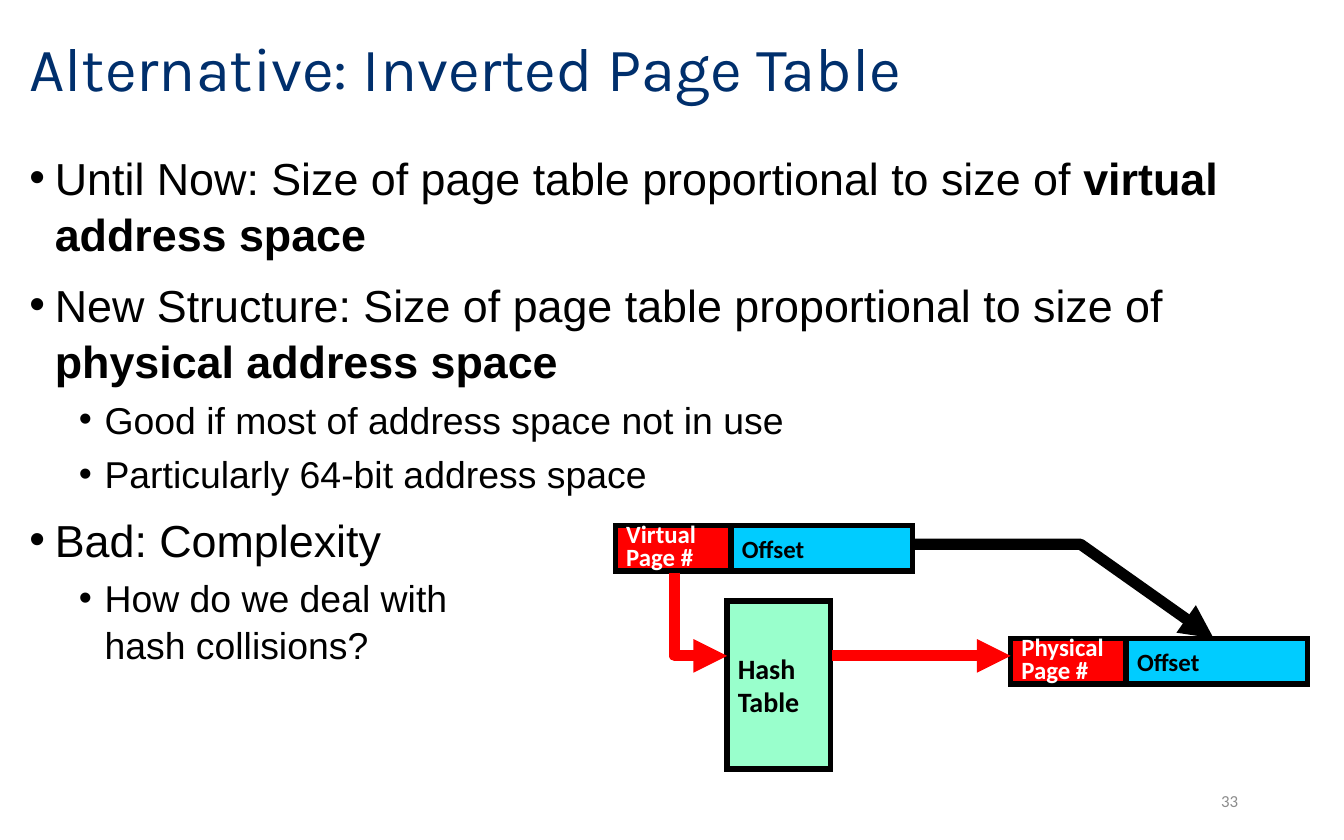
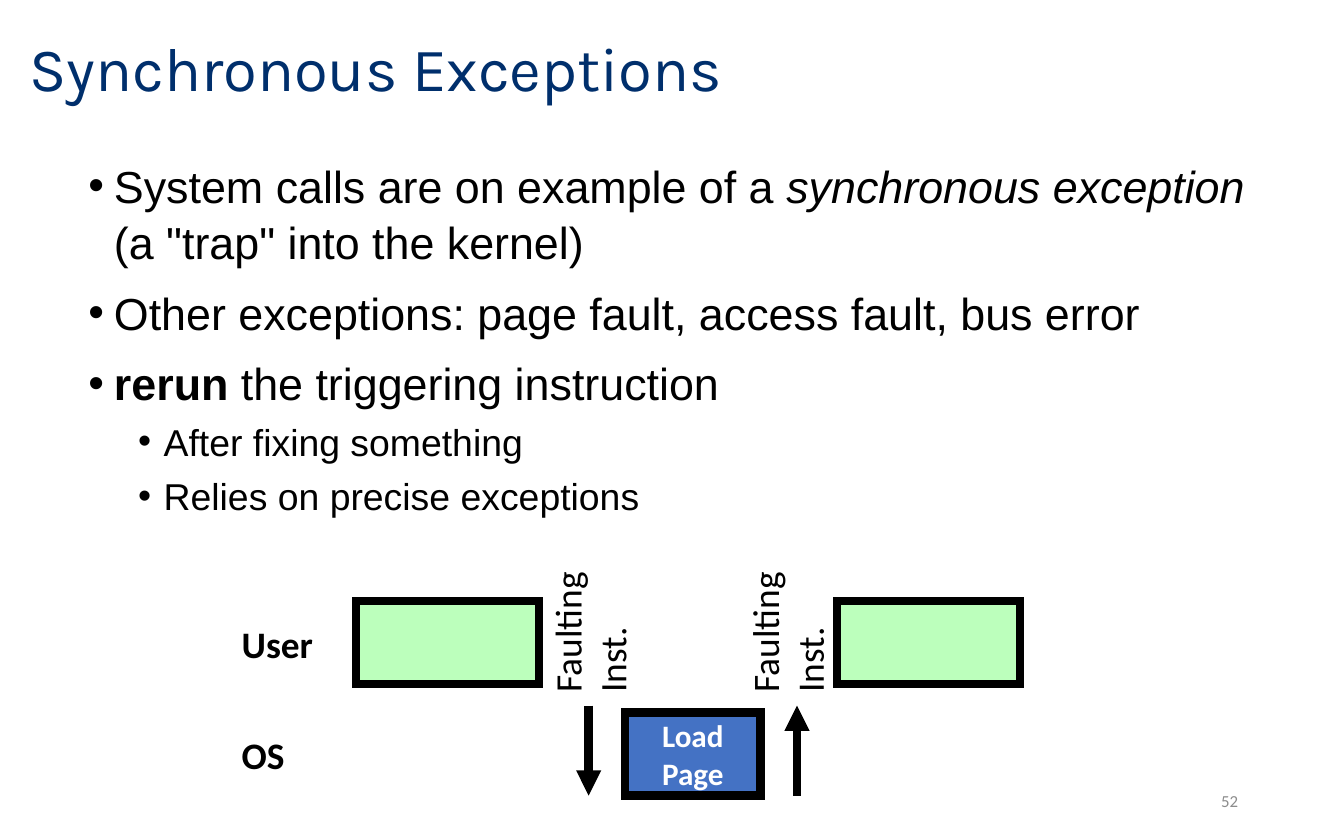
from lxml import etree
from pptx import Presentation
from pptx.dml.color import RGBColor
from pptx.enum.shapes import MSO_CONNECTOR, MSO_SHAPE
from pptx.enum.text import MSO_ANCHOR, PP_ALIGN
from pptx.oxml.ns import qn
from pptx.util import Inches, Pt

RECT = MSO_SHAPE.RECTANGLE
LINE = MSO_CONNECTOR.STRAIGHT
TOP, MID = MSO_ANCHOR.TOP, MSO_ANCHOR.MIDDLE
LEFT, MIDST, RIGHT = PP_ALIGN.LEFT, PP_ALIGN.CENTER, PP_ALIGN.RIGHT

NAVY, BLACK, WHITE, GRAY = "002F6C", "000000", "FFFFFF", "8C8C8C"
RED, CYAN, MINT = "FF0000", "00CCFF", "99FFCC"
GREEN, BLUE = "BCFFBC", "4472C4"
hue = RGBColor.from_string


def write(shape, lines, size, color=BLACK, face="Calibri", bold=False,
          align=LEFT, anchor=MID, gap=1.0):
    """Fill a shape with one paragraph per line."""
    frame = shape.text_frame
    frame.word_wrap = True
    frame.vertical_anchor = anchor
    for n, line in enumerate(lines):
        para = frame.paragraphs[0] if n == 0 else frame.add_paragraph()
        para.text = line
        para.alignment = align
        para.line_spacing = gap
        font = para.font
        font.name, font.size, font.bold = face, Pt(size), bold
        font.color.rgb = hue(color)
    return frame


def stroke(shape, color, width, fill=None, arrow=False):
    """Set outline, fill and arrowhead, and drop the shadow."""
    if fill:
        shape.fill.solid()
        shape.fill.fore_color.rgb = hue(fill)
    shape.line.color.rgb = hue(color)
    shape.line.width = Pt(width)
    props = shape._element.spPr
    edge = props.find(qn("a:ln"))
    if fill:
        etree.SubElement(edge, qn("a:miter"), lim="800000")
    if arrow:
        etree.SubElement(edge, qn("a:tailEnd"), type="triangle")
    etree.SubElement(props, qn("a:effectLst"))


# Title, number, body box, bullets as (level, runs)
pages = [
    ("Alternative: Inverted Page Table", "33", (0.12, 1.05, 9.77, 4.58), [
        (0, [("Until Now: Size of page table proportional to size of ", ""),
             ("virtual address space", "b")]),
        (0, [("New Structure: Size of page table proportional to size of ", ""),
             ("physical address space", "b")]),
        (1, "Good if most of address space not in use"),
        (1, "Particularly 64-bit address space"),
        (0, "Bad: Complexity"),
        (1, "How do we deal with\vhash collisions?"),
    ]),
    ("Synchronous Exceptions", "52", (0.56, 1.11, 8.87, 4.98), [
        (0, [("System calls are on example of a ", ""),
             ("synchronous exception ", "i"),
             ("(a \"trap\" into the kernel)", "")]),
        (0, "Other exceptions: page fault, access fault, bus error"),
        (0, [("rerun", "b"), (" the triggering instruction", "")]),
        (1, "After fixing something"),
        (1, "Relies on precise exceptions"),
    ]),
]
levels = [(24, 0.19, 7.5), (20, 0.56, 3.8)]  # size, indent, space before

deck = Presentation()
deck.slide_width, deck.slide_height = Inches(10), Inches(6.25)
slides = []

# Shared title, bullets and page number
for title, number, place, items in pages:
    slide = deck.slides.add_slide(deck.slide_layouts[6])
    slides.append(slide)
    box = slide.shapes.add_textbox(*map(Inches, (0.12, 0.1, 8.52, 0.86)))
    write(box, [title], 33, NAVY, "Karla", gap=0.9)

    body = slide.shapes.add_textbox(*map(Inches, place)).text_frame
    body.word_wrap = True
    for n, (level, runs) in enumerate(items):
        size, indent, space = levels[level]
        para = body.paragraphs[0] if n == 0 else body.add_paragraph()
        para.level = level
        props = para._p.get_or_add_pPr()
        props.set("marL", str(Inches(indent)))
        props.set("indent", str(Inches(-0.19)))
        etree.SubElement(props, qn("a:buFont"), typeface="Arial")
        etree.SubElement(props, qn("a:buChar"), char="•")
        para.line_spacing = 1.05
        para.space_before = Pt(space if n else 0)
        para.font.name, para.font.size = "Arial", Pt(size)
        para.font.color.rgb = hue(BLACK)
        if isinstance(runs, str):
            para.text = runs
            continue
        for words, style in runs:
            run = para.add_run()
            run.text = words
            if style == "b":
                run.font.bold = True
            elif style == "i":
                run.font.italic = True

    box = slide.shapes.add_textbox(*map(Inches, (7.06, 5.79, 2.25, 0.33)))
    write(box, [number], 9, GRAY, align=RIGHT)

# Inverted table: addresses and hash table
shapes = slides[0].shapes
cells = [((5.41, 4.47, 0.77, 1.25), MINT, ["Hash", "Table"], 15, BLACK, 1.0)]
for x, y, kind in [(4.58, 3.91, "Virtual"), (7.52, 4.75, "Physical")]:
    cells += [
        ((x + 0.86, y, 1.35, 0.34), CYAN, ["Offset"], 13.3, BLACK, 1.0),
        ((x, y, 0.86, 0.34), RED, [kind, "Page #"], 13.3, WHITE, 0.75),
    ]
for place, fill, lines, size, color, gap in cells:
    cell = shapes.add_shape(RECT, *map(Inches, place))
    stroke(cell, BLACK, 3, fill)
    frame = write(cell, lines, size, color, bold=True, gap=gap)
    frame.margin_left = frame.margin_right = Inches(0.08)
    frame.margin_top = frame.margin_bottom = Inches(0.04)

# Inverted table: arrows
bends = [
    (RED, [(5.02, 4.26), (5.02, 4.88), (5.41, 4.88)]),
    (BLACK, [(6.79, 4.05), (8.04, 4.05), (9.03, 4.75)]),
]
for color, points in bends:
    first, *rest = [(Inches(x), Inches(y)) for x, y in points]
    pen = shapes.build_freeform(*first)
    pen.add_line_segments(rest, close=False)
    bend = pen.convert_to_shape()
    bend.fill.background()
    stroke(bend, color, 6, arrow=True)
link = shapes.add_connector(LINE, *map(Inches, (6.19, 4.88, 7.52, 4.88)))
stroke(link, RED, 6, arrow=True)

# Exceptions: user and OS rows
shapes = slides[1].shapes
for y, name in [(4.57, "User"), (5.4, "OS")]:
    label = shapes.add_textbox(*map(Inches, (1.7, y, 1.13, 0.44)))
    write(label, [name], 20, bold=True, anchor=TOP)
for x in (2.65, 6.23):
    block = shapes.add_shape(RECT, *map(Inches, (x, 4.47, 1.36, 0.62)))
    stroke(block, BLACK, 4.5, GREEN)
for x in (3.78, 5.25):
    fault = shapes.add_textbox(*map(Inches, (x, 4.26, 1.21, 0.77)))
    fault.rotation = 270
    write(fault, ["Faulting Inst."], 20, anchor=TOP)
load = shapes.add_shape(RECT, *map(Inches, (4.65, 5.3, 1.01, 0.62)))
stroke(load, BLACK, 4.5, BLUE)
write(load, ["Load Page"], 16.7, WHITE, bold=True, align=MIDST)

# Exceptions: trap and return arrows
for x, start, end in [(4.38, 5.25, 5.92), (5.93, 5.92, 5.25)]:
    link = shapes.add_connector(LINE, *map(Inches, (x, start, x, end)))
    stroke(link, BLACK, 4.5, arrow=True)

deck.save("out.pptx")
